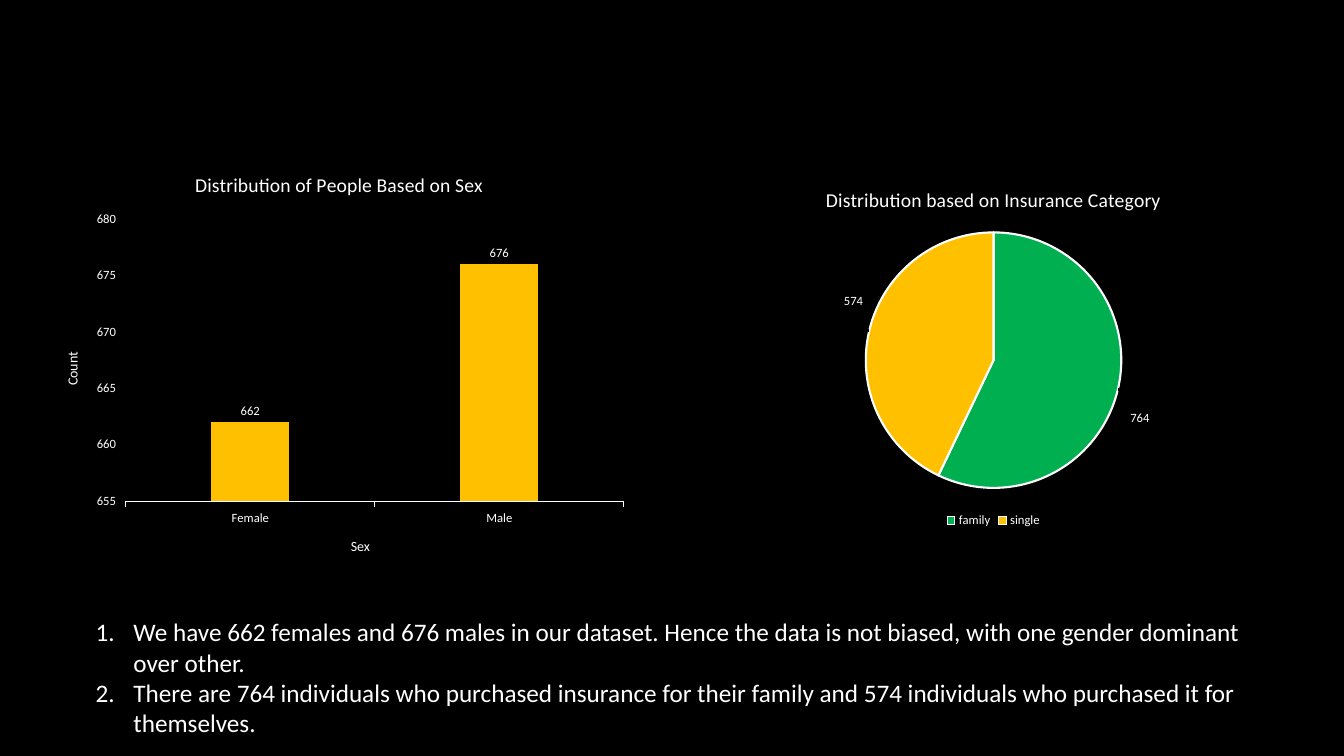
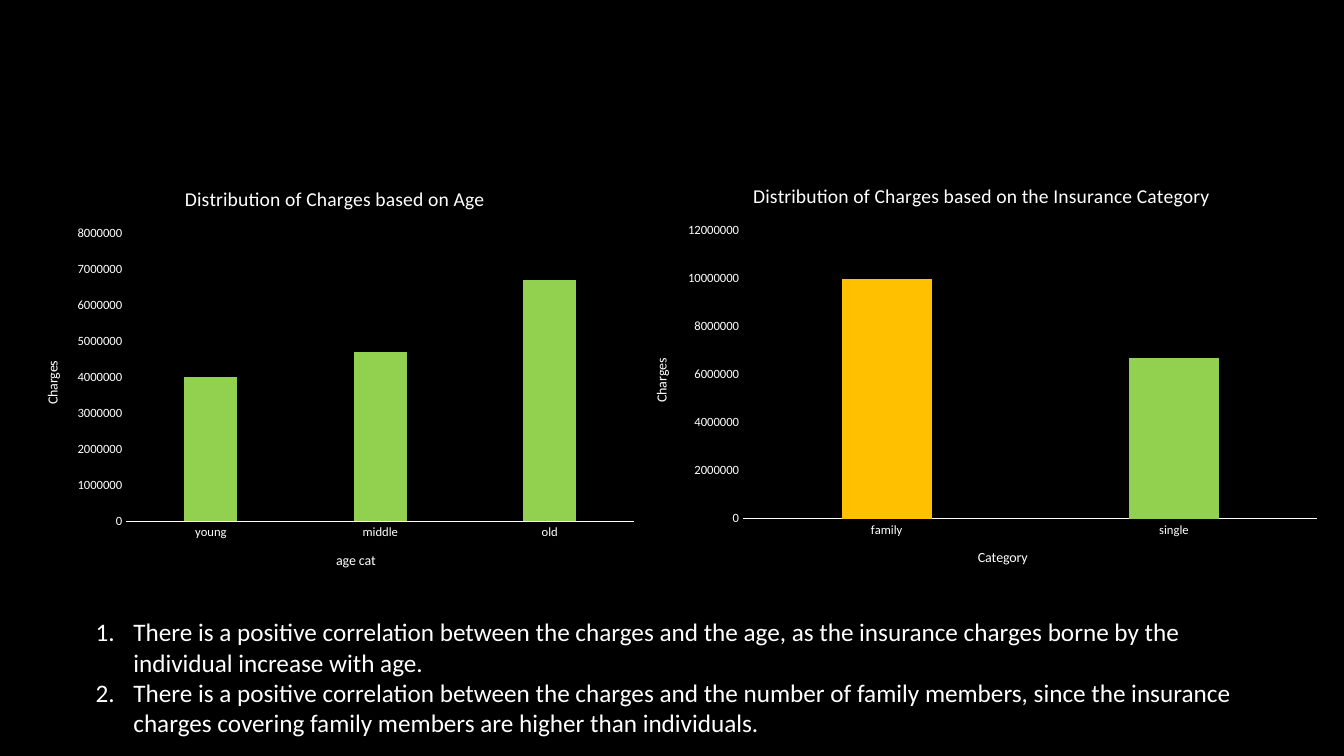
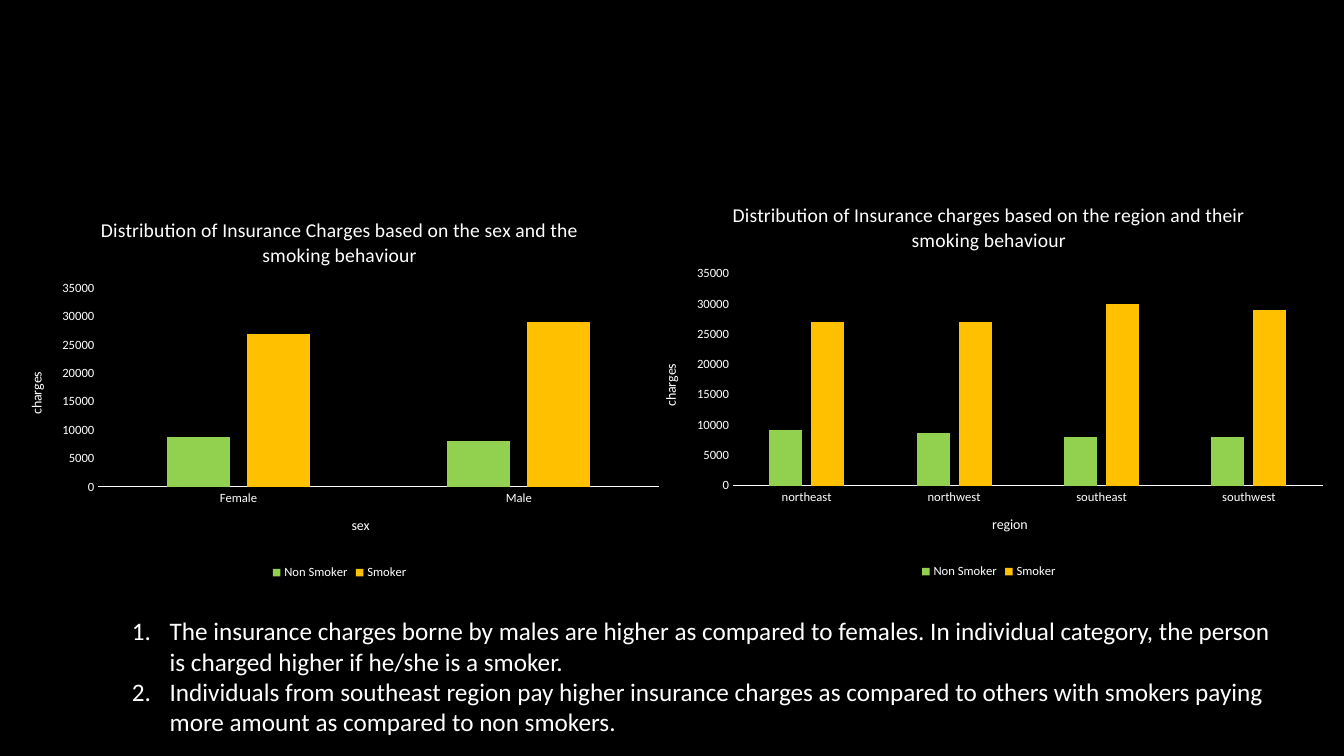
from pptx import Presentation
from pptx.chart.data import CategoryChartData
from pptx.dml.color import RGBColor
from pptx.enum import chart as ec, text as et
from pptx.oxml.ns import qn
from pptx.util import Pt
from lxml import etree

FONT, BLACK, WHITE = "Calibri", "000000", "FFFFFF"
GOLD, LIME, GREEN = "FFC000", "92D050", "00B050"
SMOKE = ("Non Smoker", "Smoker")

SLIDES = [
    dict(
        charts=[
            dict(box=(30.6, 109.8, 423.4, 301), title="Distribution of People Based on Sex",
                 axes=("Sex", "Count"), scale=(655, 680, 5), cats=("Female", "Male"),
                 rows={"Series 1": (662, 676)}, hues=[GOLD], labels=True),
            dict(box=(480, 121.4, 459.4, 258.5),
                 title="Distribution based on Insurance Category",
                 cats=("family", "single"), rows={"Series 1": (764, 574)},
                 points=[GREEN, GOLD], labels=True, legend=True,
                 shifts=[(0.01, 0.06), (0, -0.06)]),
        ],
        at=(61.2, 437),
        notes=["We have 662 females and 676 males in our dataset. Hence the data is not "
               "biased, with one gender dominant over other.",
               "There are 764 individuals who purchased insurance for their family and 574 "
               "individuals who purchased it for themselves."]),
    dict(
        charts=[
            dict(box=(16.4, 119.8, 445.7, 301), title="Distribution of Charges based on Age",
                 axes=("age cat", "Charges"), scale=(0, 8000000, 1000000),
                 cats=("young", "middle", "old"),
                 rows={"Series 1": (4000000, 4700000, 6700000)}, hues=[LIME]),
            dict(box=(451.4, 118, 499.7, 301),
                 title="Distribution of Charges based on the Insurance Category",
                 axes=("Category", "Charges"), scale=(0, 12000000, 2000000),
                 cats=("family", "single"), rows={"Series 1": (10000000, 6700000)},
                 hues=[GOLD], points=[GOLD, LIME]),
        ],
        at=(61.2, 437),
        notes=["There is a positive correlation between the charges and the age, as the "
               "insurance charges borne by the individual increase with age.",
               "There is a positive correlation between the charges and the number of family "
               "members, since the insurance charges covering family members are higher than "
               "individuals."]),
    dict(
        charts=[
            dict(box=(5, 142.9, 475.2, 274.3),
                 title="Distribution of Insurance Charges based on the sex and the "
                       "smoking behaviour",
                 axes=("sex", "charges"), scale=(0, 35000, 5000), cats=("Female", "Male"),
                 rows=dict(zip(SMOKE, ((8800, 8100), (27000, 29000)))),
                 hues=[LIME, GOLD], legend=True),
            dict(box=(457.9, 132.1, 496.8, 284.4),
                 title="Distribution of Insurance charges based on the region and their "
                       "smoking behaviour",
                 axes=("region", "charges"), scale=(0, 35000, 5000),
                 cats=("northeast", "northwest", "southeast", "southwest"),
                 rows=dict(zip(SMOKE, ((9200, 8600, 8000, 8000),
                                       (27000, 27000, 30000, 29000)))),
                 hues=[LIME, GOLD], legend=True),
        ],
        at=(87.1, 436.3),
        notes=["The insurance charges borne by males are higher as compared to females. In "
               "individual category, the person is charged higher if he/she is a smoker.",
               "Individuals from southeast region pay higher insurance charges as compared to "
               "others with smokers paying more amount as compared to non smokers."]),
]


def paint(fill, hue):
    """Fill with one solid colour."""
    fill.solid()
    fill.fore_color.rgb = RGBColor.from_string(hue)


def style(font, size):
    """Set the shared white face at one size."""
    font.name, font.size, font.bold = FONT, Pt(size), False
    font.color.rgb = RGBColor.from_string(WHITE)


def head(owner, words, size):
    """Title a chart or an axis."""
    owner.has_title = True
    frame = (owner.chart_title if hasattr(owner, "chart_title") else owner.axis_title).text_frame
    frame.text = words
    style(frame.paragraphs[0].runs[0].font, size)


def scale(chart, names, span):
    """Set titles, ticks, lines and range of both axes."""
    cat, val = chart.category_axis, chart.value_axis
    tick = ec.XL_TICK_MARK.OUTSIDE if span[0] else ec.XL_TICK_MARK.NONE
    for axis, name in zip((cat, val), names):
        head(axis, name, 10)
        axis.has_major_gridlines = False
        axis.major_tick_mark, axis.minor_tick_mark = tick, ec.XL_TICK_MARK.NONE
        style(axis.tick_labels.font, 9)
    paint(cat.format.line.fill, WHITE)
    cat.format.line.width = Pt(0.75)
    val.format.line.fill.background()
    val.minimum_scale, val.maximum_scale, val.major_unit = span


def label(row, spot, shifts):
    """Show the values of a series, some moved by a share of the chart."""
    tags = row.data_labels
    tags.show_value = True
    tags.position = spot
    style(tags.font, 9)
    for i, shift in enumerate(shifts):
        tag = row.points[i].data_label
        tag.position = spot
        style(tag.font, 9)
    for node, shift in zip(row._element.iter(qn("c:dLbl")), shifts):
        lay = etree.Element(qn("c:layout"))
        hand = etree.SubElement(lay, qn("c:manualLayout"))
        for key, part in zip("xy", shift):
            etree.SubElement(hand, qn("c:" + key), val=str(part))
        node.insert(1, lay)


def draw(slide, item):
    """Add one column or pie chart."""
    pie = "axes" not in item
    data = CategoryChartData(number_format="General")
    data.categories = item["cats"]
    for name, vals in item["rows"].items():
        data.add_series(name, vals)
    kind = ec.XL_CHART_TYPE.PIE if pie else ec.XL_CHART_TYPE.COLUMN_CLUSTERED
    chart = slide.shapes.add_chart(kind, *map(Pt, item["box"]), data).chart
    style(chart.font, 10)
    head(chart, item["title"], 14)
    chart.chart_title.include_in_layout = False
    chart.has_legend = item.get("legend", False)
    if chart.has_legend:
        chart.legend.position = ec.XL_LEGEND_POSITION.BOTTOM
        chart.legend.include_in_layout = False
        style(chart.legend.font, 9)
    plot = chart.plots[0]
    plot.vary_by_categories = pie
    if not pie:
        plot.gap_width, plot.overlap = 219, -27
        scale(chart, item["axes"], item["scale"])
    for row, hue in zip(plot.series, item.get("hues", [])):
        paint(row.format.fill, hue)
    for i, hue in enumerate(item.get("points", [])):
        look = plot.series[0].points[i].format
        paint(look.fill, hue)
        if pie:
            paint(look.line.fill, WHITE)
            look.line.width = Pt(1.5)
    if item.get("labels"):
        spot = ec.XL_LABEL_POSITION
        label(plot.series[0], spot.BEST_FIT if pie else spot.OUTSIDE_END,
              item.get("shifts", []))


def write(slide, at, notes):
    """Add the numbered findings."""
    frame = slide.shapes.add_textbox(*map(Pt, (*at, 837.4, 94.3))).text_frame
    frame.word_wrap = True
    frame.auto_size = et.MSO_AUTO_SIZE.SHAPE_TO_FIT_TEXT
    frame.text = "\n".join(notes)
    for para in frame.paragraphs:
        style(para.runs[0].font, 18)
        props = para._p.get_or_add_pPr()
        props.set("marL", str(Pt(27)))
        props.set("indent", str(-Pt(27)))
        etree.SubElement(props, qn("a:buAutoNum"), type="arabicPeriod")


def main():
    """Build the deck."""
    deck = Presentation()
    deck.slide_width, deck.slide_height = Pt(960), Pt(540)
    paint(deck.slide_master.background.fill, BLACK)
    for page in SLIDES:
        slide = deck.slides.add_slide(deck.slide_layouts[6])
        for item in page["charts"]:
            draw(slide, item)
        write(slide, page["at"], page["notes"])
    deck.save("out.pptx")


if __name__ == "__main__":
    main()
